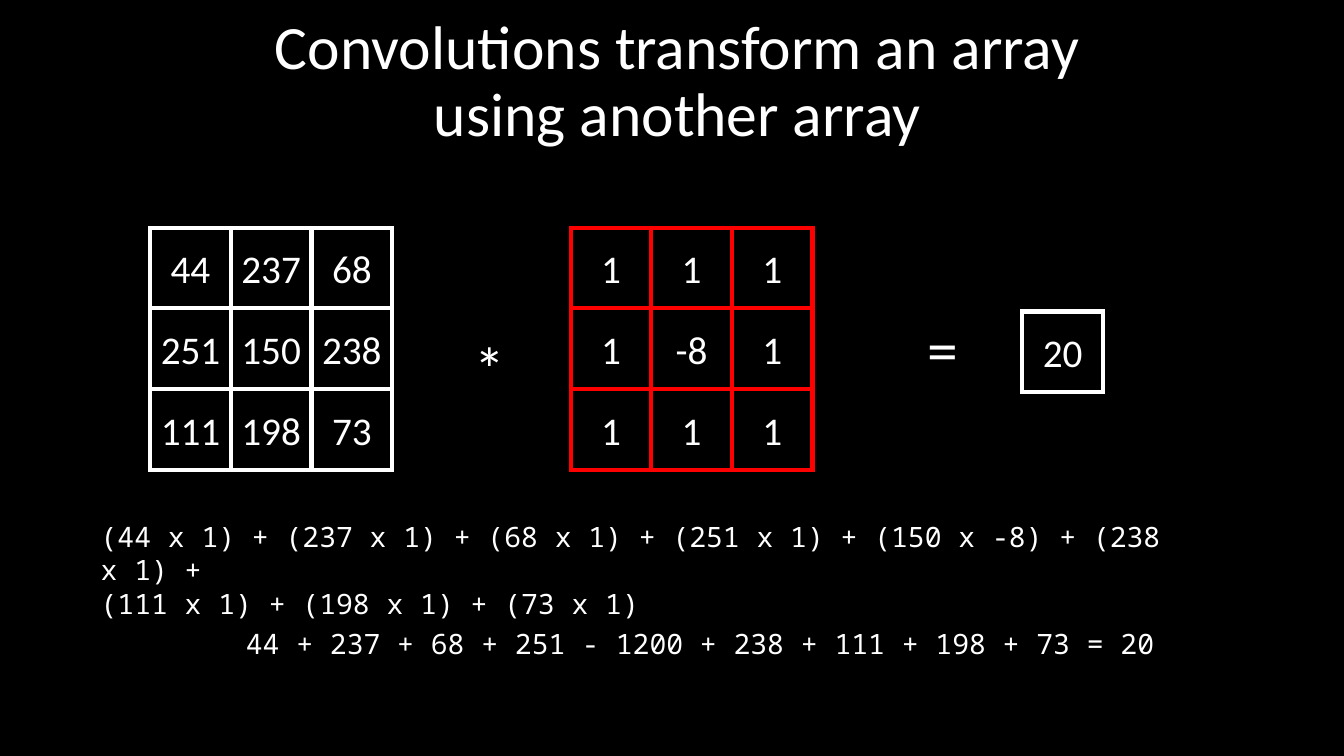
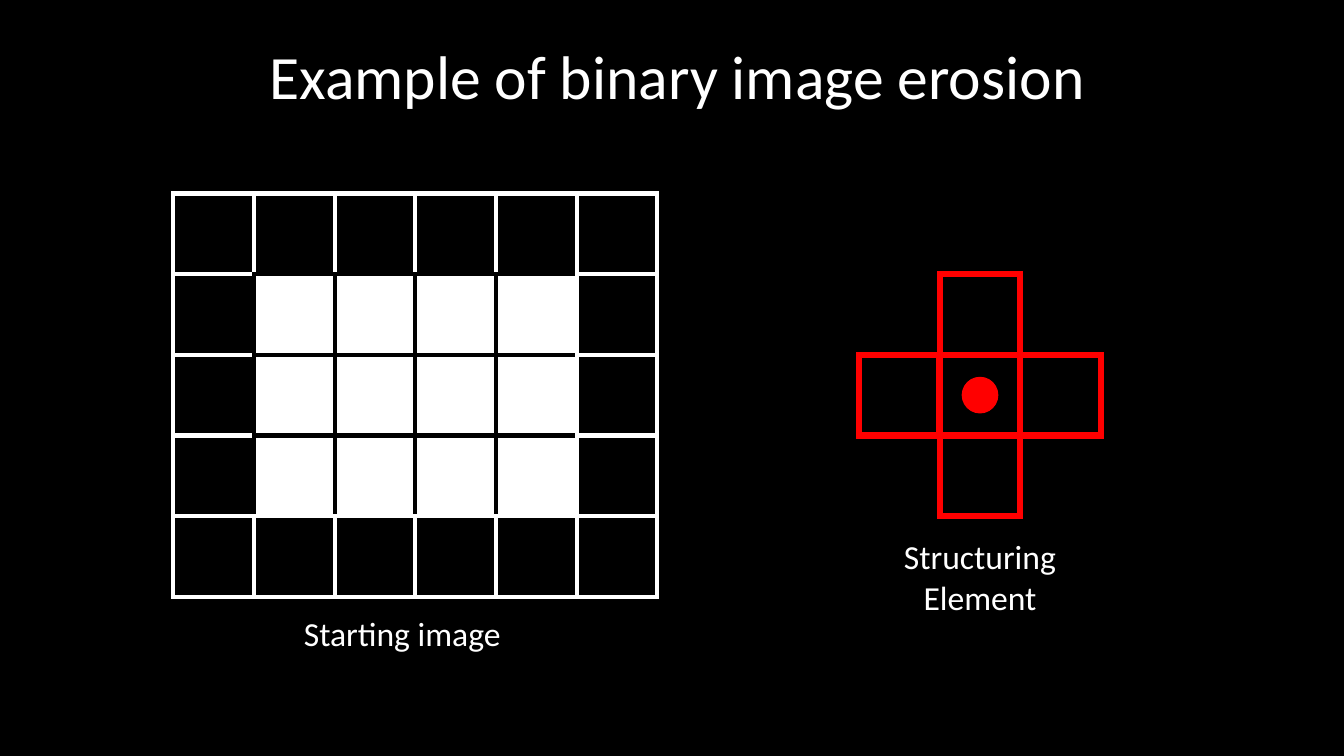
from lxml import etree
from pptx import Presentation
from pptx import util as u
from pptx.dml.color import RGBColor
from pptx.enum import shapes, text
from pptx.oxml import ns

BLACK = RGBColor(0x00, 0x00, 0x00)
WHITE = RGBColor(0xFF, 0xFF, 0xFF)
RED = RGBColor(0xFF, 0x00, 0x00)
BODY, MONO = "Calibri", "Noto Sans Mono"
LEFT, MID = text.PP_ALIGN.LEFT, text.PP_ALIGN.CENTER
RECT, OVAL = shapes.MSO_SHAPE.RECTANGLE, shapes.MSO_SHAPE.OVAL
SIDE = 0.8  # one grid cell


def write(box, lines, size, font=BODY, align=MID, space=1.0):
    frame = box.text_frame
    frame.text = "\n".join(lines)
    for para in frame.paragraphs:
        para.alignment = align
        para.line_spacing = space
        para.font.size = u.Pt(size)
        para.font.name = font
        para.font.color.rgb = WHITE
    return frame


def draw(tree, kind, x, y, size, line, width, fill=None):
    shape = tree.add_shape(kind, *map(u.Inches, (x, y, size, size)))
    shape.shadow.inherit = False
    if fill is None:
        shape.fill.background()
    else:
        shape.fill.solid()
        shape.fill.fore_color.rgb = fill
    shape.line.color.rgb = line
    shape.line.width = u.Pt(width)
    edge = shape.element.spPr.find(ns.qn("a:ln"))
    etree.SubElement(edge, ns.qn("a:miter")).set("lim", "800000")
    return shape


deck = Presentation()
deck.slide_width, deck.slide_height = u.Inches(13.33), u.Inches(7.5)
ground = deck.slide_master.background.fill
ground.solid()
ground.fore_color.rgb = BLACK

# Slides and their titles
pages = []
for top, lines in (
    (0.1, ["Convolutions transform an array", "using another array"]),
    (0.06, ["Example of binary image erosion"]),
):
    page = deck.slides.add_slide(deck.slide_layouts[6])
    box = page.shapes.add_textbox(*map(u.Inches, (0.97, top, 11.5, 1.45)))
    frame = write(box, lines, 44, space=0.9)
    frame.word_wrap = True
    frame.vertical_anchor = text.MSO_ANCHOR.MIDDLE
    pages.append(page.shapes)
first, second = pages

# Slide 1: array, kernel and result
for x, y, color, rows in (
    (1.49, 2.26, WHITE, [(44, 237, 68), (251, 150, 238), (111, 198, 73)]),
    (5.66, 2.26, RED, [(1, 1, 1), (1, -8, 1), (1, 1, 1)]),
    (10.14, 3.09, WHITE, [(20,)]),
):
    tree = first.add_group_shape().shapes if len(rows) > 1 else first
    for r, row in enumerate(rows):
        for c, value in enumerate(row):
            cell = draw(tree, RECT, x + c * SIDE, y + r * SIDE, SIDE, color, 3)
            write(cell, [str(value)], 28)

# Slide 2: starting image, white inside a dark border
ROWS, COLS = 5, 6
tree = second.add_group_shape().shapes
for r in range(ROWS):
    for c in range(COLS):
        inner = 0 < r < ROWS - 1 and 0 < c < COLS - 1
        line, fill = (BLACK, WHITE) if inner else (WHITE, None)
        draw(tree, RECT, 1.72 + c * SIDE, 1.92 + r * SIDE, SIDE, line, 3, fill)

# Slide 2: structuring element, a cross with a dot at its centre
tree = second.add_group_shape().shapes
for c, r in ((1, 0), (0, 1), (1, 1), (2, 1), (1, 2)):
    draw(tree, RECT, 8.52 + c * SIDE, 2.72 + r * SIDE, SIDE, RED, 4.5)
DOT = 0.35
gap = (SIDE - DOT) / 2
draw(tree, OVAL, 9.32 + gap, 3.52 + gap, DOT, RED, 1, RED)

# Operators, sums and captions
sums = [
    "(44 x 1) + (237 x 1) + (68 x 1) + (251 x 1) + (150 x -8) + (238 x 1) +",
    "(111 x 1) + (198 x 1) + (73 x 1)",
]
total = ["44 + 237 + 68 + 251 - 1200 + 238 + 111 + 198 + 73 = 20"]
for tree, place, lines, size, font, align, wrap in (
    (first, (4.61, 3.22, 0.51, 0.84), ["*"], 44, BODY, LEFT, False),
    (first, (9.1, 3.04, 0.51, 0.84), ["="], 44, BODY, LEFT, False),
    (first, (0.9, 5.1, 11, 0.77), sums, 20, MONO, LEFT, True),
    (first, (2.34, 6.17, 11, 0.44), total, 20, MONO, LEFT, True),
    (second, (2.66, 6.03, 2.66, 0.91), ["Starting image"], 24, BODY, MID, True),
    (second, (8.39, 5.27, 2.66, 1.31), ["Structuring", "Element"], 24, BODY, MID, True),
):
    box = tree.add_textbox(*map(u.Inches, place))
    frame = write(box, lines, size, font, align)
    frame.word_wrap = wrap
    frame.auto_size = text.MSO_AUTO_SIZE.SHAPE_TO_FIT_TEXT

deck.save("out.pptx")
